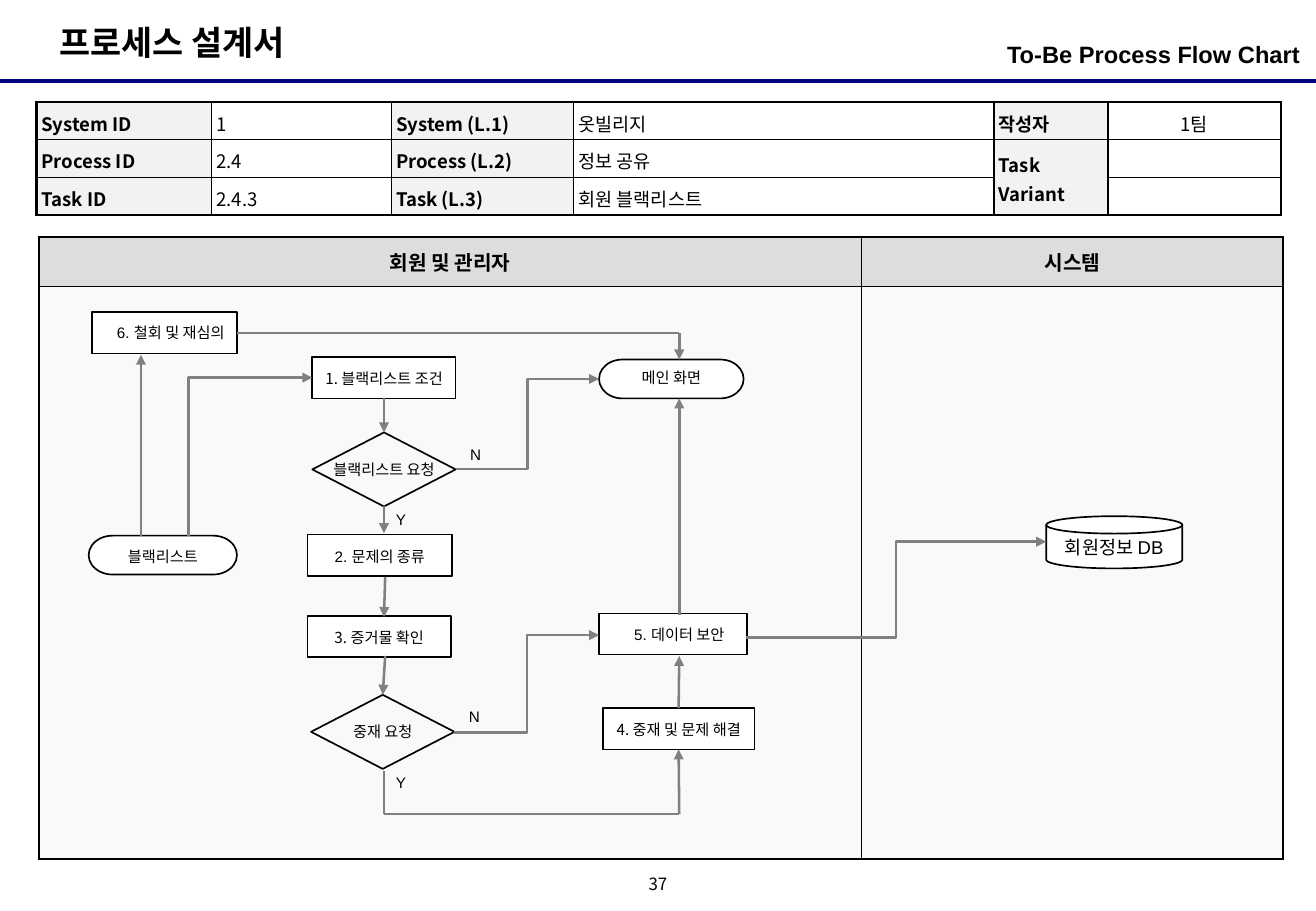
"""Build the To-Be process flow chart slide on a grid of 108.3 columns by 75 rows."""
from dataclasses import dataclass

from lxml import etree
from pptx import Presentation
from pptx import util as u
from pptx.dml.color import RGBColor
from pptx.enum import shapes, text
from pptx.oxml.ns import qn

FORM = shapes.MSO_SHAPE
LINK = shapes.MSO_CONNECTOR
ALIGN = text.PP_ALIGN
MID = text.MSO_ANCHOR.MIDDLE
TOP = text.MSO_ANCHOR.TOP


@dataclass(frozen=True)
class Theme:
    """Colours, fonts and sizes of the slide."""
    ink: str = "000000"
    paper: str = "FFFFFF"
    navy: str = "000080"
    gray: str = "808080"
    head: str = "DDDDDD"
    body: str = "F9F9F9"
    label: str = "F2F2F2"
    latin: str = "Arial"
    hangul: str = "Noto Sans CJK KR"
    title: float = 20
    topic: float = 14
    lane: float = 12
    cell: float = 11
    page: float = 10
    node: float = 9
    edge: float = 1.5
    thin: float = 1
    hair: float = 0.75
    rule: float = 2.25


class Sheet:
    """Hold the theme and the slide, and draw each kind of element."""

    def __init__(self, theme, cols, rows):
        """Open a blank slide of the given grid size."""
        self.theme = theme
        self.deck = Presentation()
        self.deck.slide_width, self.deck.slide_height = self.grid(cols, rows)
        self.slide = self.deck.slides.add_slide(self.deck.slide_layouts[6])

    def grid(self, *cells):
        """Turn grid cells into lengths."""
        return [u.Inches(cell / 10) for cell in cells]

    def say(self, frame, runs, size, bold=False, align=ALIGN.CENTER,
            space=None, indent=0):
        """Fill one paragraph from (words, font) runs."""
        para = frame.paragraphs[0]
        para.alignment = align
        if space:
            para.line_spacing = space
        if indent:
            para._p.get_or_add_pPr().set("marL", str(self.grid(indent)[0]))
        for words, face in runs:
            run = para.add_run()
            run.text = words
            font = run.font
            font.size, font.bold = u.Pt(size), bold
            font.color.rgb = RGBColor.from_string(self.theme.ink)
            font.name = face
            etree.SubElement(font._element, qn("a:ea"), typeface=self.theme.hangul)
        if not runs:
            etree.SubElement(para._p, qn("a:endParaRPr"), sz=str(int(size * 100)))

    def pad(self, frame, left, top):
        """Set equal insets on facing sides."""
        frame.margin_left = frame.margin_right = self.grid(left)[0]
        frame.margin_top = frame.margin_bottom = self.grid(top)[0]

    def note(self, box, words, face, size, bold=False, align=ALIGN.CENTER,
             anchor=MID, pad=(1, 0.5), space=None):
        """Add a text box."""
        frame = self.slide.shapes.add_textbox(*self.grid(*box)).text_frame
        frame.word_wrap = False
        frame.vertical_anchor = anchor
        self.pad(frame, *pad)
        self.say(frame, [(words, face)], size, bold, align, space)

    def node(self, form, box, runs, size=None, fill=True, pad=(0.2, 0),
             wrap=True, space=None, indent=0):
        """Add an outlined flow shape with its text."""
        shape = self.slide.shapes.add_shape(form, *self.grid(*box))
        shape.shadow.inherit = False
        if fill:
            shape.fill.solid()
            shape.fill.fore_color.rgb = RGBColor.from_string(self.theme.paper)
        else:
            shape.fill.background()
        shape.line.color.rgb = RGBColor.from_string(self.theme.ink)
        shape.line.width = u.Pt(self.theme.thin)
        frame = shape.text_frame
        frame.word_wrap = wrap
        frame.vertical_anchor = MID
        self.pad(frame, *pad)
        self.say(frame, runs, size or self.theme.node, space=space, indent=indent)
        return shape

    def flow(self, start, end, kind=LINK.STRAIGHT, arrow=True, src=None,
             dst=None, color=None, width=None):
        """Add a connector, joined to (shape, side) where given."""
        link = self.slide.shapes.add_connector(kind, *self.grid(*start, *end))
        if src:
            link.begin_connect(*src)
        if dst:
            link.end_connect(*dst)
        link.line.color.rgb = RGBColor.from_string(color or self.theme.gray)
        link.line.width = u.Pt(width or self.theme.edge)
        props = link._element.spPr
        if arrow:
            etree.SubElement(props.find(qn("a:ln")), qn("a:tailEnd"), type="triangle")
        etree.SubElement(props, qn("a:effectLst"))
        return link

    def turn(self, start, end):
        """Add a one-bend arrow that goes up, then right."""
        midx, midy = (start[0] + end[0]) / 2, (start[1] + end[1]) / 2
        wide, high = (start[1] - end[1]) / 2, (end[0] - start[0]) / 2
        link = self.flow((midx + wide, midy + high), (midx - wide, midy - high),
                         LINK.ELBOW)
        props = link._element.spPr
        props.find(qn("a:xfrm")).set("rot", "5400000")
        props.find(qn("a:prstGeom")).set("prst", "bentConnector2")

    def table(self, spot, cols, rows):
        """Add a plain table with the given columns and rows."""
        box = self.grid(*spot, sum(cols), sum(rows))
        table = self.slide.shapes.add_table(len(rows), len(cols), *box).table
        table.first_row = table.horz_banding = False
        for part, size in zip(table.columns, self.grid(*cols)):
            part.width = size
        for part, size in zip(table.rows, self.grid(*rows)):
            part.height = size
        return table

    def paint(self, table, row, col, fill, inner):
        """Fill a cell and rule its borders, heavier along the table's edge."""
        cell = table.cell(row, col)
        if fill:
            cell.fill.solid()
            cell.fill.fore_color.rgb = RGBColor.from_string(fill)
        else:
            cell.fill.background()
        rims = (("L", col == 0), ("R", col + 1 == len(table.columns)),
                ("T", row == 0), ("B", row + cell.span_height == len(table.rows)))
        props = cell._tc.get_or_add_tcPr()
        for spot, (side, outer) in enumerate(rims):
            width = u.Pt(self.theme.edge if outer else inner)
            line = etree.Element(qn("a:ln" + side), w=str(width))
            solid = etree.SubElement(line, qn("a:solidFill"))
            etree.SubElement(solid, qn("a:srgbClr"), val=self.theme.ink)
            props.insert(spot, line)
        return cell


def main():
    """Draw the slide and save it."""
    look = Theme()
    sheet = Sheet(look, 108.3, 75)
    latin, noto = look.latin, look.hangul

    sheet.flow((0, 6.7), (108.3, 6.7), arrow=False, color=look.navy, width=look.rule)
    sheet.note((3.9, 1.3, 22.6, 4.4), "프로세스 설계서", noto, look.title, True,
               ALIGN.LEFT, TOP)
    sheet.note((73.9, 2.8, 33.1, 3.9), "To-Be Process Flow Chart", latin, look.topic,
               True, ALIGN.RIGHT, TOP, (0, 0.5))
    sheet.note((52.5, 71.7, 3.3, 2.5), "37", noto, look.page, pad=(0, 0), space=0.8)

    lanes = sheet.table((3.2, 19.5), (67.7, 34.7), (4.1, 47.1))
    for col, name in enumerate(("회원 및 관리자", "시스템")):
        cell = sheet.paint(lanes, 0, col, look.head, look.hair)
        cell.vertical_anchor = MID
        sheet.say(cell.text_frame, [(name, noto)], look.lane, True)
        sheet.paint(lanes, 1, col, look.body, look.hair)

    facts = (("System ID", "1", "System (L.1)", "옷빌리지", "작성자", "1팀"),
             ("Process ID", "2.4", "Process (L.2)", "정보 공유", "Task Variant", ""),
             ("Task ID", "2.4.3", "Task (L.3)", "회원 블랙리스트", "", ""))
    info = sheet.table((3, 8.4), (14.4, 14.8, 15, 34.6, 9.4, 14.2), (3.1,) * 3)
    info.cell(1, 4).merge(info.cell(2, 4))
    for row, line in enumerate(facts):
        for col, words in enumerate(line):
            label = col % 2 == 0
            cell = sheet.paint(info, row, col, look.label if label else None, look.thin)
            sheet.pad(cell, 0.4, 0.4)
            cell.vertical_anchor = MID if col > 3 else TOP
            sheet.say(cell.text_frame, [(words, noto)] if words else [], look.cell,
                      label, ALIGN.CENTER if col == 5 else ALIGN.LEFT, 1.1)

    sheet.node(FORM.FLOWCHART_TERMINATOR, (7.3, 44.1, 12.2, 3.2),
               [("블랙리스트", noto)], space=1.1)
    sheet.node(FORM.FLOWCHART_TERMINATOR, (49.3, 29.6, 11.9, 3.2),
               [("메인 화면", latin)], space=0.9)
    sheet.node(FORM.FLOWCHART_MAGNETIC_DISK, (86.1, 42.5, 11.2, 4.3),
               [("회원정보 DB", latin)], look.cell, pad=(0.4, 0), wrap=False)
    ask, judge = [
        sheet.node(FORM.FLOWCHART_DECISION, (left, top, 11.8, 6.1), [(words, latin)],
                   fill=False, pad=(0.4, 0.4), wrap=False)
        for left, top, words in ((25.7, 35.6, "블랙리스트 요청"), (25.6, 57.2, "중재 요청"))]

    steps = ((25.7, 29.4, 11.8, noto, "블랙리스트 조건"),
             (25.3, 44, 11.9, latin, "문제의 종류"),
             (25.3, 50.7, 11.8, noto, "증거물 확인"),
             (49.6, 58.3, 12.5, noto, "중재 및 문제 해결"),
             (49.3, 50.5, 12.2, latin, "데이터 보안"),
             (7.6, 25.7, 11.9, latin, "철회 및 재심의"))
    boxes = {}
    for step, (left, top, wide, face, words) in enumerate(steps, 1):
        late = step > 4
        boxes[step] = sheet.node(
            FORM.RECTANGLE, (left, top, wide, 3.4), [(f"{step}. ", face), (words, noto)],
            space=None if late else 1.1, indent=1 if late else 0)

    sheet.flow((31.6, 32.8), (31.6, 35.6), src=(boxes[1], 2), dst=(ask, 0))
    sheet.flow((31.6, 41.7), (31.6, 43.9), src=(ask, 2))
    sheet.flow((31.7, 47.5), (31.6, 50.8))
    sheet.flow((31.7, 54), (31.5, 57.2), dst=(judge, 0))
    sheet.flow((55.9, 58.3), (55.9, 54), src=(boxes[4], 0))
    sheet.flow((55.9, 50.6), (55.9, 32.8))
    sheet.flow((11.6, 44.1), (11.6, 29.2))
    sheet.flow((19.5, 27.4), (55.9, 27.4), arrow=False, src=(boxes[6], 3))
    sheet.flow((55.9, 27.4), (55.9, 29.6))
    sheet.flow((31.6, 63.5), (31.6, 67), arrow=False)
    sheet.flow((31.6, 67), (55.9, 67), arrow=False)
    sheet.flow((55.9, 67), (55.9, 61.7), dst=(boxes[4], 2))
    sheet.turn((15.5, 44.1), (25.7, 31.1))
    for start, end in (((61.4, 52.5), (86.1, 44.6)), ((37.5, 38.6), (49.3, 31.2)),
                       ((37.4, 60.3), (49.3, 52.3))):
        sheet.flow(start, end, LINK.ELBOW)

    for left, top, mark in ((31.6, 41.5, "Y"), (37.7, 36.2, "N"),
                            (31.6, 63.2, "Y"), (37.6, 57.7, "N")):
        sheet.note((left, top, 2.6, 2.5), mark, latin, look.node)

    sheet.deck.save("out.pptx")


if __name__ == "__main__":
    main()
